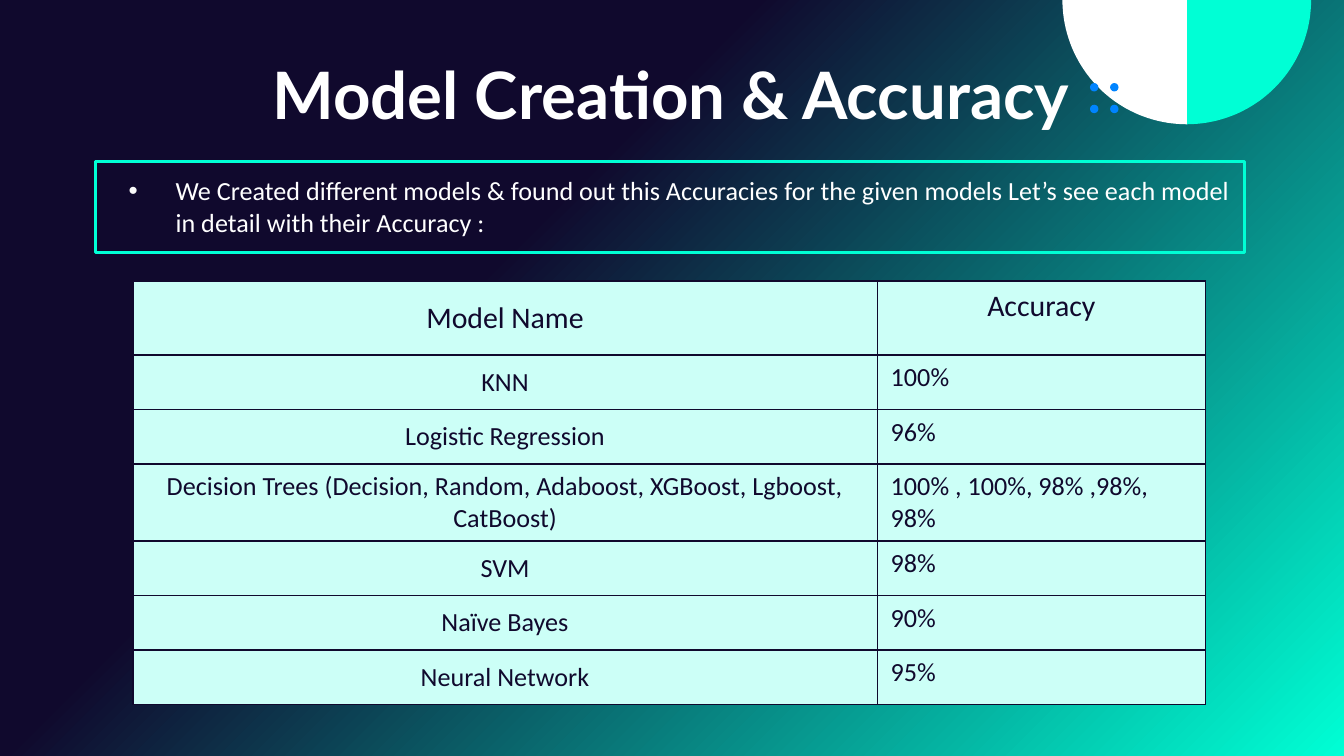
from copy import deepcopy
from math import cos, pi, sin

from lxml import etree
from pptx import Presentation
from pptx.dml.color import RGBColor
from pptx.enum.shapes import MSO_SHAPE
from pptx.enum.text import MSO_ANCHOR, MSO_AUTO_SIZE, PP_ALIGN
from pptx.oxml.ns import qn
from pptx.util import Cm, Pt

OVAL, RECT = MSO_SHAPE.OVAL, MSO_SHAPE.RECTANGLE
TOP, MIDDLE, BOTTOM = MSO_ANCHOR.TOP, MSO_ANCHOR.MIDDLE, MSO_ANCHOR.BOTTOM
LEFT, CENTER = PP_ALIGN.LEFT, PP_ALIGN.CENTER

COLORS = {
    "navy": "10092D",
    "mint": "00FFD5",
    "pale": "CCFFF7",
    "blue": "0084FF",
    "white": "FFFFFF",
    "bullet": "FAFAFA",
}
INTRO = (
    "We Created different models & found out this Accuracies for the given "
    "models Let’s see each model in detail with their Accuracy :"
)
ROWS = [
    ("Model Name", "Accuracy"),
    ("KNN", "100%"),
    ("Logistic Regression", "96%"),
    ("Decision Trees (Decision, Random, Adaboost, XGBoost, Lgboost, CatBoost)",
     "100% , 100%, 98% ,98%, 98%"),
    ("SVM", "98%"),
    ("Naïve Bayes", "90%"),
    ("Neural Network", "95%"),
]


def rgb(name):
    return RGBColor.from_string(COLORS[name])


def paint(shape, color):
    shape.shadow.inherit = False
    shape.fill.solid()
    shape.fill.fore_color.rgb = rgb(color)
    shape.line.fill.background()


def style(para, font, size, color, align=LEFT, bold=False):
    para.alignment = align
    para.font.name = font
    para.font.size = Pt(size)
    para.font.bold = bold
    para.font.color.rgb = rgb(color)


def set_frame(frame, anchor):
    frame.word_wrap = True
    frame.auto_size = MSO_AUTO_SIZE.NONE
    frame.vertical_anchor = anchor
    frame.margin_left = frame.margin_right = Cm(0.25)
    frame.margin_top = frame.margin_bottom = Cm(0.25)


def add_back(slide):
    """Fill the background with a diagonal gradient of three stops."""
    fill = slide.background.fill
    fill.gradient()
    fill.gradient_angle = 315
    stops = next(slide.element.iter(qn("a:gsLst")))
    stops.append(deepcopy(stops[-1]))
    marks = [(0, "navy"), (0.36, "navy"), (1, "mint")]
    for stop, (place, color) in zip(fill.gradient_stops, marks):
        stop.position = place
        stop.color.rgb = rgb(color)


def add_quarter(slide, x, radius, start, color):
    """Draw a quarter disc hanging from the top edge, from angle start."""
    steps = 40
    angles = [start + i * pi / 2 / steps for i in range(steps + 1)]
    arc = [(Cm(x + radius * cos(a)), Cm(radius * sin(a))) for a in angles]
    pen = slide.shapes.build_freeform(Cm(x), 0)
    pen.add_line_segments(arc, close=True)
    paint(pen.convert_to_shape(), color)


def add_dots(slide):
    for x in (20.6, 20.98):
        for y in (1.57, 1.98):
            dot = slide.shapes.add_shape(OVAL, Cm(x), Cm(y), Cm(0.16), Cm(0.16))
            paint(dot, "blue")


def add_title(slide, text):
    title = slide.shapes.title
    title.left, title.top = Cm(1.7), Cm(1.19)
    title.width, title.height = Cm(21.97), Cm(1.57)
    title.text_frame.text = text
    set_frame(title.text_frame, BOTTOM)
    style(title.text_frame.paragraphs[0], "Lato", 35, "white", CENTER, True)


def add_bullet(para):
    props = para._p.get_or_add_pPr()
    props.set("marL", str(Cm(1.27)))
    props.set("indent", str(-Cm(0.89)))
    tint = etree.SubElement(props, qn("a:buClr"))
    etree.SubElement(tint, qn("a:srgbClr"), val=COLORS["bullet"])
    etree.SubElement(props, qn("a:buFont"), typeface="Arial")
    etree.SubElement(props, qn("a:buChar"), char="•")


def add_intro(slide):
    box = slide.shapes.add_shape(RECT, Cm(1.8), Cm(3.05), Cm(21.72), Cm(1.73))
    box.shadow.inherit = False
    box.fill.background()
    box.line.color.rgb = rgb("mint")
    box.line.width = Pt(1.5)
    set_frame(box.text_frame, TOP)
    box.text_frame.text = INTRO
    para = box.text_frame.paragraphs[0]
    add_bullet(para)
    style(para, "Calibri", 14, "white")


def add_border(cell):
    props = cell._tc.get_or_add_tcPr()
    for side in ("lnL", "lnR", "lnT", "lnB"):
        line = etree.SubElement(props, qn("a:" + side), w=str(Pt(1)))
        solid = etree.SubElement(line, qn("a:solidFill"))
        etree.SubElement(solid, qn("a:srgbClr"), val=COLORS["navy"])


def add_scores(slide):
    widths = (14.07, 6.2)
    heights = [1.4] + [1.03] * (len(ROWS) - 1)
    table = slide.shapes.add_table(
        len(ROWS), len(widths), Cm(2.51), Cm(5.31),
        Cm(sum(widths)), Cm(sum(heights))).table
    table.first_row = table.horz_banding = False
    for col, width in zip(table.columns, widths):
        col.width = Cm(width)
    for r, texts in enumerate(ROWS):
        table.rows[r].height = Cm(heights[r])
        for c, text in enumerate(texts):
            cell = table.cell(r, c)
            add_border(cell)
            cell.fill.solid()
            cell.fill.fore_color.rgb = rgb("pale")
            cell.vertical_anchor = TOP if c else MIDDLE
            cell.text = text
            style(cell.text_frame.paragraphs[0], "Calibri",
                  14 if r else 16, "navy", LEFT if r and c else CENTER)


def main():
    deck = Presentation()
    deck.slide_width, deck.slide_height = Cm(25.4), Cm(14.29)
    slide = deck.slides.add_slide(deck.slide_layouts[5])
    add_back(slide)
    add_quarter(slide, 22.43, 2.35, 0, "mint")
    add_quarter(slide, 22.43, 2.35, pi / 2, "white")
    add_dots(slide)
    add_title(slide, "Model Creation & Accuracy")
    add_intro(slide)
    add_scores(slide)
    deck.save("out.pptx")


if __name__ == "__main__":
    main()
